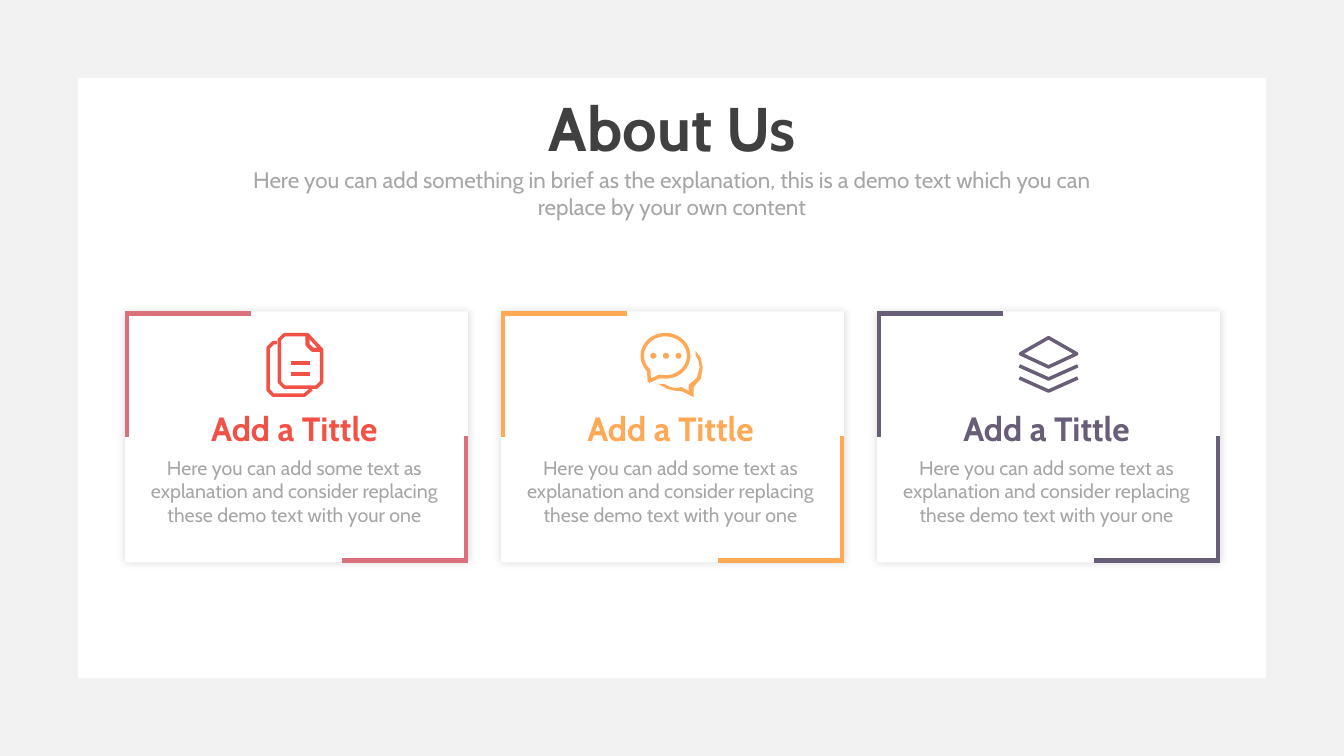
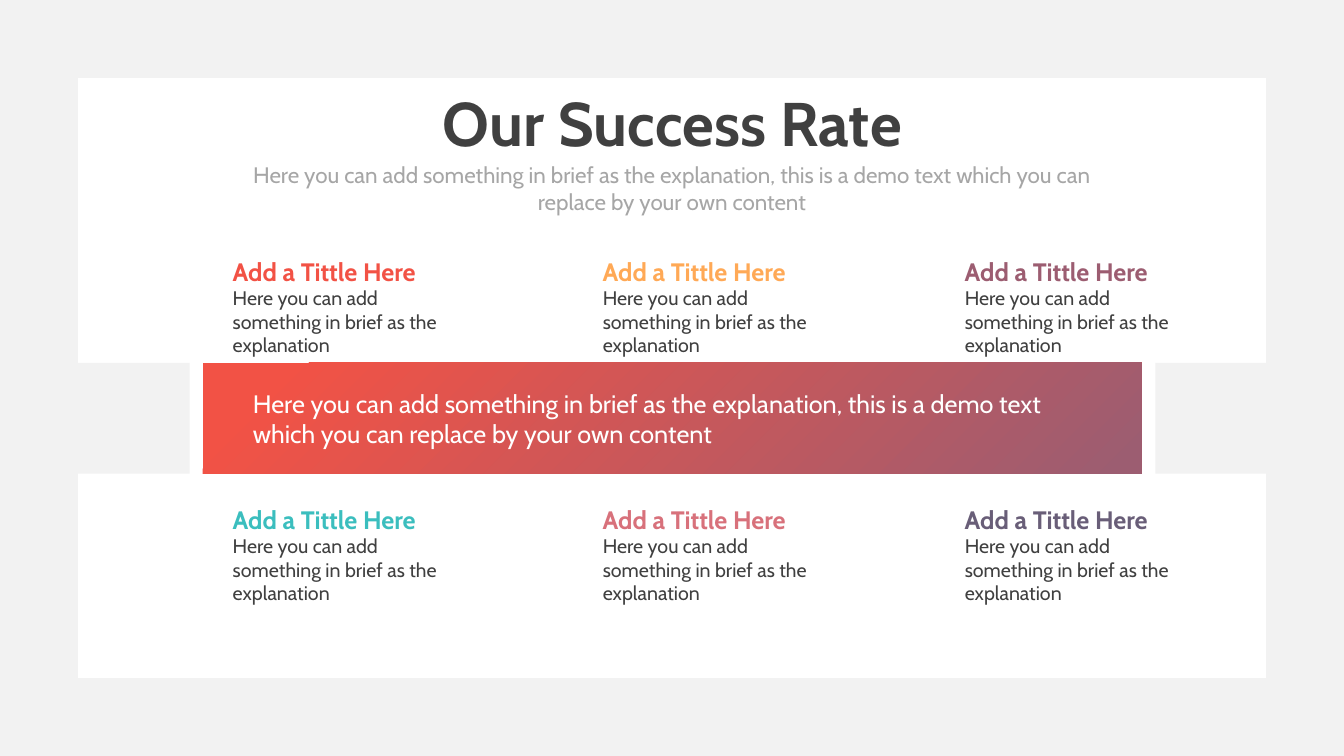
import math
from lxml import etree
from pptx import Presentation
from pptx.dml.color import RGBColor
from pptx.enum import shapes, text
from pptx.oxml import ns
from pptx.util import Inches, Pt

WHITE = RGBColor(0xFF, 0xFF, 0xFF)
PALE = RGBColor(0xF2, 0xF2, 0xF2)
DARK = RGBColor(0x40, 0x40, 0x40)
GREY = RGBColor(0xA6, 0xA6, 0xA6)
RED = RGBColor(0xF2, 0x52, 0x45)
ROSE = RGBColor(0xD8, 0x71, 0x7B)
ORANGE = RGBColor(0xFF, 0xA9, 0x56)
PURPLE = RGBColor(0x69, 0x5E, 0x78)
PLUM = RGBColor(0x9C, 0x5D, 0x71)
TEAL = RGBColor(0x3B, 0xBE, 0xBE)
FONT = "Cabin"
LEFT, CENTER = text.PP_ALIGN.LEFT, text.PP_ALIGN.CENTER
RECT, OVAL = shapes.MSO_SHAPE.RECTANGLE, shapes.MSO_SHAPE.OVAL


def add_text(page, left, top, width, height, words, size, color, align=LEFT, bold=False):
    box = page.shapes.add_textbox(Inches(left), Inches(top), Inches(width), Inches(height))
    frame = box.text_frame
    frame.text = words
    frame.word_wrap = True
    frame.auto_size = text.MSO_AUTO_SIZE.SHAPE_TO_FIT_TEXT
    for para in frame.paragraphs:
        para.alignment = align
        for span in para.runs:
            span.font.name = FONT
            span.font.size = Pt(size)
            span.font.bold = bold
            span.font.color.rgb = color


def add_block(page, kind, left, top, width, height, color):
    block = page.shapes.add_shape(kind, Inches(left), Inches(top), Inches(width), Inches(height))
    block.shadow.inherit = False
    block.fill.solid()
    block.fill.fore_color.rgb = color
    block.line.fill.background()
    return block


deck = Presentation()
deck.slide_width = Inches(13.33)
deck.slide_height = Inches(7.5)
blank = deck.slide_layouts[6]
about, success = [deck.slides.add_slide(blank) for _ in range(2)]

border = add_block(about, shapes.MSO_SHAPE.FRAME, 0, 0, 13.33, 7.5, PALE)
border.adjustments[0] = 0.103
deck.slide_master.shapes.element.append(border.element)

INTRO = ("Here you can add something in brief as the explanation, "
         "this is a demo text which you can")
INTRO_END = "replace by your own content"
for page, title, top in ((about, "About Us", 0.84), (success, "Our Success Rate", 0.79)):
    add_text(page, 4.27, top, 4.8, 0.84, title, 44, DARK, CENTER, True)
    add_text(page, 2.41, top + 0.76, 8.51, 0.64, INTRO + "\n" + INTRO_END, 16, GREY, CENTER)

CARD_TOP, CARD_WIDTH, CARD_HEIGHT = 3.09, 3.4, 2.49
ARM, INSET = 1.25, 0.02
for index, (color, edge) in enumerate(((RED, ROSE), (ORANGE, ORANGE), (PURPLE, PURPLE))):
    left = 1.24 + 3.73 * index
    right, bottom = left + CARD_WIDTH, CARD_TOP + CARD_HEIGHT
    card = add_block(about, RECT, left, CARD_TOP, CARD_WIDTH, CARD_HEIGHT, WHITE)
    effects = card.element.spPr.find(ns.qn("a:effectLst"))
    glow = etree.SubElement(effects, ns.qn("a:outerShdw"), blurRad=str(Pt(6)), dist="0", dir="0")
    tint = etree.SubElement(glow, ns.qn("a:srgbClr"), val=str(DARK))
    etree.SubElement(tint, ns.qn("a:alpha"), val="20000")

    add_text(about, left + 0.12, 4.47, 3.12, 0.81,
             "Here you can add some text as explanation and consider replacing "
             "these demo text with your one", 14, GREY, CENTER)
    add_text(about, left + 0.21, 4, 2.94, 0.5, "Add a Tittle", 24, color, CENTER, True)
    for x1, y1, x2, y2 in (
        (left + INSET, CARD_TOP, left + INSET, CARD_TOP + ARM),
        (left, CARD_TOP + INSET, left + ARM, CARD_TOP + INSET),
        (right - INSET, bottom, right - INSET, bottom - ARM),
        (right, bottom - INSET, right - ARM, bottom - INSET),
    ):
        corner = about.shapes.add_connector(
            shapes.MSO_CONNECTOR.STRAIGHT, Inches(x1), Inches(y1), Inches(x2), Inches(y2))
        corner.line.color.rgb = edge
        corner.line.width = Pt(3)
        etree.SubElement(corner.element.spPr, ns.qn("a:effectLst"))

bubble = [(6.6 + 0.23 * math.cos(math.radians(angle)), 3.53 + 0.21 * math.sin(math.radians(angle)))
          for angle in range(136, 465, 8)]
bubble += [(6.44, 3.78)]
back_bubble = [
    (6.9, 3.48), (6.95, 3.55), (6.97, 3.65), (6.95, 3.76), (6.88, 3.84), (6.88, 3.94),
    (6.76, 3.88), (6.71, 3.88), (6.62, 3.86), (6.53, 3.81), (6.59, 3.81), (6.65, 3.84),
    (6.71, 3.85), (6.76, 3.84), (6.83, 3.88), (6.83, 3.82), (6.91, 3.75), (6.94, 3.65),
    (6.93, 3.58), (6.9, 3.53)]
front_sheet = [(2.82, 3.32), (3.05, 3.32), (3.19, 3.47), (3.19, 3.79), (3.14, 3.84),
               (2.82, 3.84), (2.77, 3.79), (2.77, 3.37)]
back_sheet = [(2.75, 3.4), (2.71, 3.4), (2.66, 3.45), (2.66, 3.87), (2.71, 3.92),
              (3.02, 3.92), (3.09, 3.86)]
fold = [(3.05, 3.32), (3.05, 3.42), (3.1, 3.47), (3.19, 3.47)]
top_layer = [(10.4, 3.35), (10.68, 3.51), (10.4, 3.64), (10.12, 3.51)]

outlines = [
    (bubble, ORANGE, True, 2.5), (back_bubble, ORANGE, True, 0),
    (back_sheet, RED, False, 2.5), (front_sheet, RED, True, 2.5), (fold, RED, False, 3),
    (top_layer, PURPLE, True, 2.5)]
outlines += [([(2.89, y), (3.07, y)], RED, False, 3.25) for y in (3.6, 3.71)]
outlines += [([(10.11, y), (10.4, y + 0.13), (10.69, y)], PURPLE, False, 2.5)
             for y in (3.63, 3.75)]
for points, color, closed, weight in outlines:
    corners = [(Inches(x), Inches(y)) for x, y in points]
    pen = about.shapes.build_freeform(*corners[0])
    pen.add_line_segments(corners[1:], close=closed)
    icon = pen.convert_to_shape()
    icon.shadow.inherit = False
    if weight:
        icon.fill.background()
        icon.line.color.rgb = color
        icon.line.width = Pt(weight)
    else:
        icon.fill.solid()
        icon.fill.fore_color.rgb = color
        icon.line.fill.background()
for column in range(3):
    add_block(about, OVAL, 6.45 + 0.125 * column, 3.5, 0.06, 0.06, ORANGE)

BAND_TOP, BAND_HEIGHT = 3.6, 1.1
for left in (0.76, 11.46):
    add_block(success, RECT, left, BAND_TOP, 1.12, BAND_HEIGHT, PALE)
band = add_block(success, RECT, 2.01, BAND_TOP, 9.31, BAND_HEIGHT, RED)
band.fill.gradient()
band.fill.gradient_angle = 315
for stop, color, position in zip(band.fill.gradient_stops, (RED, PLUM), (0.08, 0.98)):
    stop.color.rgb = color
    stop.position = position
add_text(success, 2.41, 3.8, 8.51, 0.71, INTRO + " " + INTRO_END, 18, WHITE)

for top, colors in ((2.49, (RED, ORANGE, PLUM)), (4.95, (TEAL, ROSE, PURPLE))):
    for left, color in zip((2.21, 5.88, 9.47), colors):
        add_text(success, left, top + 0.3, 2.52, 0.57,
                 "Here you can add something in brief as the explanation", 14, DARK)
        add_text(success, left, top, 2.94, 0.4, "Add a Tittle Here", 18, color, bold=True)

deck.save("out.pptx")
